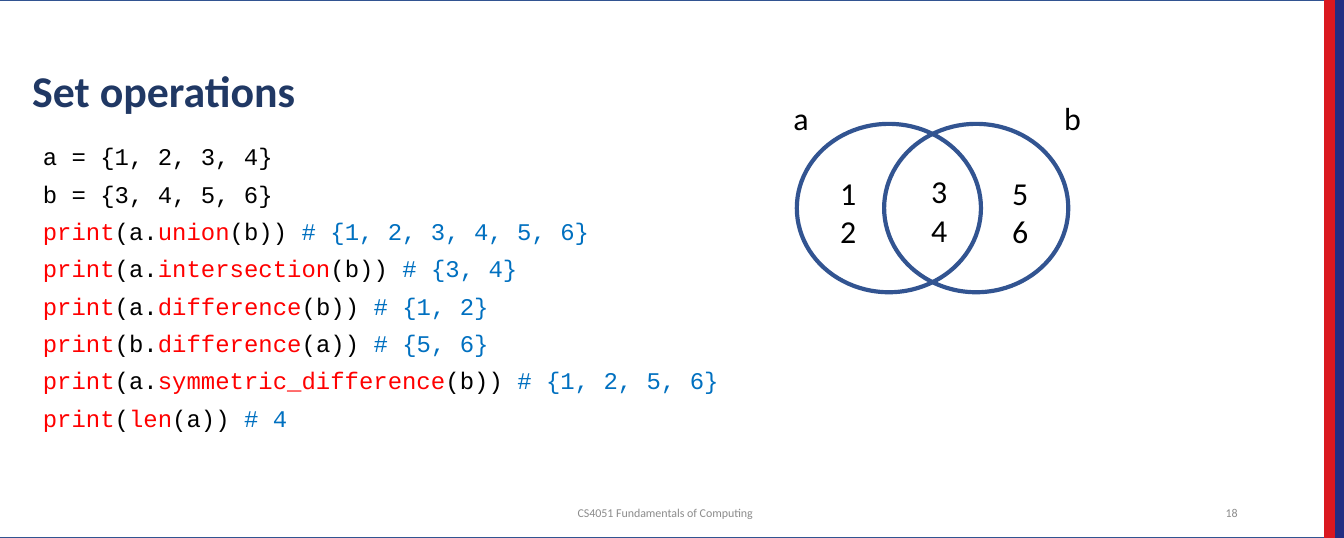
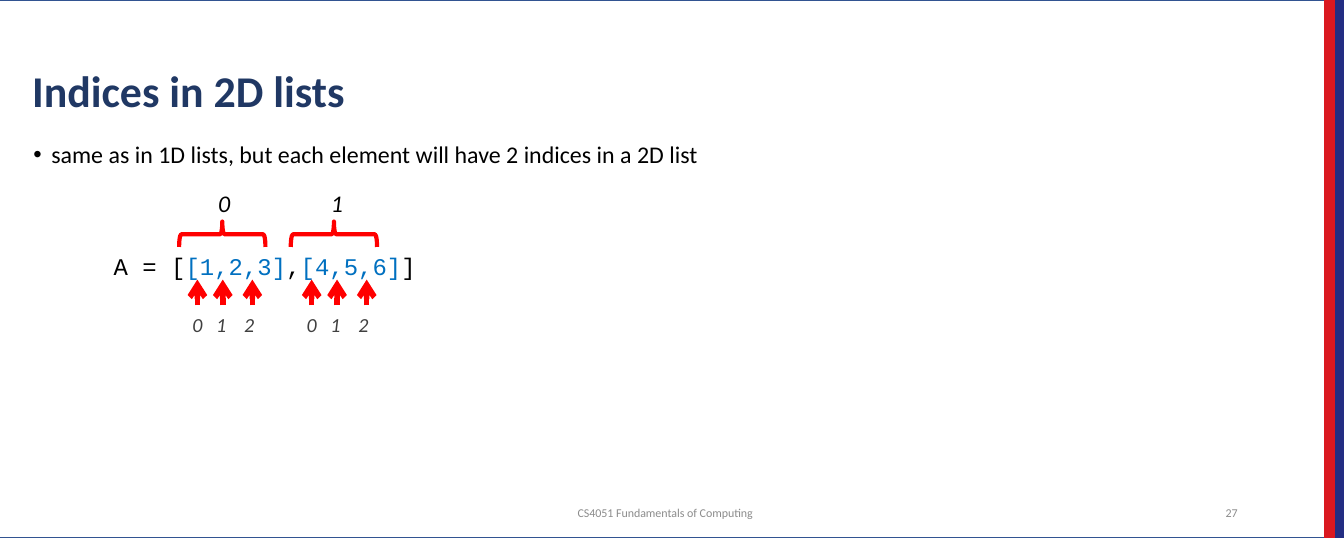
from lxml.etree import SubElement
from pptx import Presentation
from pptx.dml.color import RGBColor
from pptx.enum.shapes import MSO_CONNECTOR as Connector, MSO_SHAPE as Shape
from pptx.enum.text import MSO_ANCHOR as Anchor, PP_ALIGN as Align
from pptx.oxml.ns import qn
from pptx.util import Cm, Pt

WHITE, BLACK, RED, BLUE = "FFFFFF", "000000", "FF0000", "0070C0"
OUTLINE, NAVY, CRIMSON = "325491", "232D82", "DA1820"
TITLE, FOOTER, INDEX = "203864", "8C8C8C", "404040"
SANS, MONO = "Calibri", "Courier New"
WIDTH, HEIGHT = 25.4, 10.16
BODY_SIZE = 12.8


def colour(value):
    """Return the colour for a hex string."""
    return RGBColor.from_string(value)


def add_outline(page, kind, left, top, width, height, line, weight, fill=None):
    """Add a preset shape with an outline and an optional fill."""
    shape = page.shapes.add_shape(kind, Cm(left), Cm(top), Cm(width), Cm(height))
    shape.shadow.inherit = False
    if fill:
        shape.fill.solid()
        shape.fill.fore_color.rgb = colour(fill)
    else:
        shape.fill.background()
    shape.line.color.rgb = colour(line)
    shape.line.width = Pt(weight)
    return shape


def add_box(page, left, top, width, height, anchor=Anchor.TOP):
    """Add an empty wrapping text box and return its frame."""
    frame = page.shapes.add_textbox(Cm(left), Cm(top), Cm(width), Cm(height)).text_frame
    frame.word_wrap = True
    frame.vertical_anchor = anchor
    return frame


def next_para(frame):
    """Return the unused first paragraph or a new one."""
    first = frame.paragraphs[0]
    return frame.add_paragraph() if first.runs else first


def add_span(para, text, size, ink, font=SANS, bold=False, italic=False):
    """Add one formatted run to a paragraph."""
    span = para.add_run()
    span.text = text
    span.font.name = font
    span.font.size = Pt(size)
    span.font.bold = bold
    span.font.italic = italic
    span.font.color.rgb = colour(ink)


def add_body_para(frame, before, margin, indent=0):
    """Add a justified body paragraph with its indents and spacing."""
    para = next_para(frame)
    para.alignment = Align.JUSTIFY
    para.line_spacing = 0.9
    para.space_before = Pt(before)
    properties = para._p.get_or_add_pPr()
    properties.set("marL", str(Cm(margin)))
    properties.set("indent", str(Cm(indent)))
    return para


def add_code(frame, pieces, before=6.15, margin=0.18):
    """Add one line of coloured code."""
    para = add_body_para(frame, before, margin)
    for text, ink in pieces:
        add_span(para, text, BODY_SIZE, ink, MONO)


def add_bullet(frame, text):
    """Add a bulleted body paragraph."""
    para = add_body_para(frame, 5.3, 0.34, -0.34)
    properties = para._p.get_or_add_pPr()
    SubElement(properties, qn("a:buFont")).set("typeface", "Arial")
    SubElement(properties, qn("a:buChar")).set("char", "•")
    add_span(para, text, BODY_SIZE, BLACK)


def add_label(page, centre, top, lines, size, ink=BLACK, italic=False):
    """Add short lines centred on a horizontal position."""
    frame = add_box(page, centre - 0.5, top, 1, 0.8 * len(lines))
    for line in lines:
        para = next_para(frame)
        para.alignment = Align.CENTER
        add_span(para, line, size, ink, italic=italic)


def add_up_arrow(page, x, bottom, top):
    """Add a red arrow that points upwards."""
    arrow = page.shapes.add_connector(Connector.STRAIGHT, Cm(x), Cm(bottom), Cm(x), Cm(top))
    arrow.line.color.rgb = colour(RED)
    arrow.line.width = Pt(3)
    SubElement(arrow.line._get_or_add_ln(), qn("a:tailEnd")).set("type", "arrow")
    SubElement(arrow._element.spPr, qn("a:effectLst"))


def add_footer(page, left, width, text, alignment):
    """Add one small grey footer text."""
    para = add_box(page, left, 9.42, width, 0.53, Anchor.MIDDLE).paragraphs[0]
    para.alignment = alignment
    add_span(para, text, 6.4, FOOTER)


def add_page(deck, title, number):
    """Add a blank page with the shared frame, bands, title and footers."""
    page = deck.slides.add_slide(deck.slide_layouts[6])
    add_outline(page, Shape.RECTANGLE, -0.18, 0, 25.22, HEIGHT, OUTLINE, 1, WHITE)
    for left, band in ((25.22, NAVY), (25.04, CRIMSON)):
        add_outline(page, Shape.RECTANGLE, left, 0, 0.18, HEIGHT, band, 1, band)
    para = add_box(page, 0.36, 0.38, 23.29, 1.96, Anchor.BOTTOM).paragraphs[0]
    para.line_spacing = 0.9
    add_span(para, title, 23.5, TITLE, bold=True)
    add_footer(page, 6.6, 11.94, "CS4051 Fundamentals of Computing", Align.CENTER)
    add_footer(page, 22.22, 1.42, number, Align.RIGHT)
    return page


def add_set_operations(deck):
    """Build the page with set methods and the Venn diagram."""
    page = add_page(deck, "Set operations", "18")
    frame = add_box(page, 0.38, 2.62, 23.29, 6.6)
    for line in ("a = {1, 2, 3, 4}", "b = {3, 4, 5, 6}"):
        add_code(frame, [(line, BLACK)])
    calls = (
        ("a", "union", "b", "{1, 2, 3, 4, 5, 6}"),
        ("a", "intersection", "b", "{3, 4}"),
        ("a", "difference", "b", "{1, 2}"),
        ("b", "difference", "a", "{5, 6}"),
        ("a", "symmetric_difference", "b", "{1, 2, 5, 6}"),
    )
    for owner, method, argument, result in calls:
        add_code(frame, [("print", RED), (f"({owner}.", BLACK), (method, RED),
                         (f"({argument})) ", BLACK), (f"# {result}", BLUE)])
    add_code(frame, [("print", RED), ("(", BLACK), ("len", RED), ("(a))", BLACK), (" # 4", BLUE)])

    for left in (15.06, 16.71):
        add_outline(page, Shape.OVAL, left, 2.34, 3.48, 3.18, OUTLINE, 2.25)
    labels = ((16.03, 3.15, "12"), (17.75, 3.12, "34"), (19.28, 3.15, "56"),
              (15.14, 1.73, "a"), (20.27, 1.73, "b"))
    for centre, top, lines in labels:
        add_label(page, centre, top, lines, 17.1)


def add_list_indices(deck):
    """Build the page with the indices of a nested list."""
    page = add_page(deck, "Indices in 2D lists", "27")
    frame = add_box(page, 0.38, 2.57, 23.29, 6.65)
    add_bullet(frame, "same as in 1D lists, but each element will have 2 indices in a 2D list")
    add_code(frame, [("A = [", BLACK), ("[1,2,3]", BLUE), (",", BLACK),
                     ("[4,5,6]", BLUE), ("]", BLACK)], before=46, margin=1.52)

    for row in range(2):
        brace = add_outline(page, Shape.LEFT_BRACE, 3.96 + 2.11 * row, 3.61, 0.48, 1.63, RED, 2.25)
        brace.rotation = 90
        add_label(page, 4.24 + 2.13 * row, 3.43, str(row), BODY_SIZE, italic=True)
        start = 3.73 + 2.16 * row
        for column, (arrow, digit) in enumerate(((0, 0), (0.48, 0.45), (1.04, 0.98))):
            add_up_arrow(page, start + arrow, 5.77, 5.28)
            add_label(page, start + digit, 5.77, str(column), 10.7, INDEX, italic=True)


def main():
    """Build and save the deck."""
    deck = Presentation()
    deck.slide_width, deck.slide_height = Cm(WIDTH), Cm(HEIGHT)
    add_set_operations(deck)
    add_list_indices(deck)
    deck.save("out.pptx")


if __name__ == "__main__":
    main()
